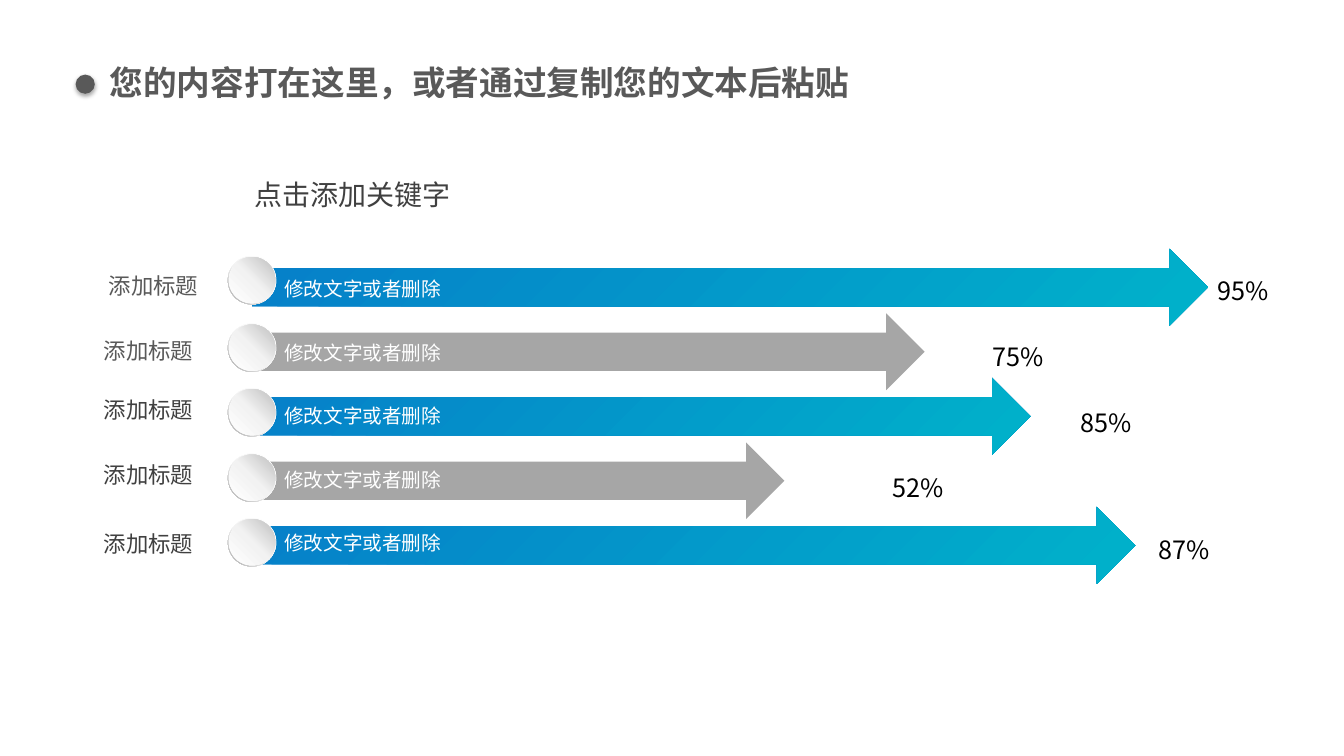
from dataclasses import dataclass

from lxml.etree import SubElement
from pptx import Presentation
from pptx.dml.color import RGBColor
from pptx.enum.shapes import MSO_SHAPE
from pptx.enum.text import MSO_AUTO_SIZE
from pptx.oxml import parse_xml
from pptx.oxml.ns import nsdecls, qn
from pptx.util import Inches, Pt


@dataclass(frozen=True)
class Theme:
    """Colours, gradients and type sizes of the slide."""
    font: str = "Noto Sans CJK SC"
    dark: str = "404040"
    mid: str = "595959"
    grey: str = "A6A6A6"
    white: str = "FFFFFF"
    black: str = "000000"
    blue: tuple = (45, (0, "067FC9"), (100, "00B2CA"))
    rim: tuple = (135, (0, "FFFFFF"), (55, "F2F2F2"), (100, "A6A6A6"))
    face: tuple = (315, (0, "FFFFFF"), (51, "F2F2F2"), (100, "BFBFBF"))
    title: int = 24
    keyword: int = 20
    value: int = 18
    label: int = 16
    caption: int = 14


def write(tf, text, *, font, size, color, bold=False):
    """Write one formatted run into a text frame."""
    r = tf.paragraphs[0].add_run()
    r.text = text
    r.font.name = font
    r.font.size = Pt(size)
    r.font.bold = bold
    r.font.color.rgb = RGBColor.from_string(color)
    SubElement(r.font._element, qn("a:ea"), typeface=font)


class Builder:
    """Draw elements on the current slide in one style."""

    def __init__(self, s, theme):
        self.s = s
        self.theme = theme

    def text(self, text, x, y, w, h, size, color, bold=False, wrap=True, inset=(0.1, 0.05)):
        """Add a text box."""
        tf = self.s.shapes.add_textbox(*map(Inches, (x, y, w, h))).text_frame
        tf.word_wrap = wrap
        tf.auto_size = MSO_AUTO_SIZE.SHAPE_TO_FIT_TEXT
        tf.margin_left = tf.margin_right = Inches(inset[0])
        tf.margin_top = tf.margin_bottom = Inches(inset[1])
        write(tf, text, font=self.theme.font, size=size, color=color, bold=bold)

    def shape(self, kind, x, y, w, h, fill):
        """Add an unlined shape with a solid colour or a gradient."""
        sp = self.s.shapes.add_shape(kind, *map(Inches, (x, y, w, h)))
        sp.shadow.inherit = False
        sp.line.fill.background()
        sp.fill.solid()
        if isinstance(fill, str):
            sp.fill.fore_color.rgb = RGBColor.from_string(fill)
        else:
            self.gradient(sp, *fill)
        return sp

    def gradient(self, sp, angle, *stops):
        """Replace the solid fill by a linear gradient."""
        gs = "".join(f'<a:gs pos="{pos * 1000}"><a:srgbClr val="{c}"/></a:gs>' for pos, c in stops)
        spPr = sp._element.spPr
        spPr.replace(spPr.find(qn("a:solidFill")), parse_xml(
            f'<a:gradFill {nsdecls("a")} rotWithShape="1"><a:gsLst>{gs}</a:gsLst>'
            f'<a:lin ang="{angle * 60000}" scaled="0"/></a:gradFill>'))

    def bullet(self, x, y, d):
        """Add the title dot with its soft shadow."""
        sp = self.shape(MSO_SHAPE.OVAL, x, y, d, d, self.theme.mid)
        sp._element.spPr.find(qn("a:effectLst")).append(parse_xml(
            f'<a:outerShdw {nsdecls("a")} blurRad="{Pt(3.1)}" dist="{Pt(1.8)}" dir="5400000" '
            f'algn="t" rotWithShape="0"><a:srgbClr val="{self.theme.black}">'
            '<a:alpha val="35000"/></a:srgbClr></a:outerShdw>'))

    def arrow(self, y, w, fill, caption_y):
        """Add a bar arrow with its caption."""
        self.shape(MSO_SHAPE.RIGHT_ARROW, 2.5, y, w, 0.76, fill)
        self.text("修改文字或者删除", 2.72, caption_y, 1.77, 0.34,
                  self.theme.caption, self.theme.white, wrap=False)

    def knob(self, y):
        """Add the round button at the start of an arrow."""
        rim = self.shape(MSO_SHAPE.DONUT, 2.26, y, 0.48, 0.48, self.theme.rim)
        rim.adjustments[0] = 0.049
        self.shape(MSO_SHAPE.OVAL, 2.27, y + 0.01, 0.46, 0.46, self.theme.face)


def main():
    """Build and save the slide."""
    prs = Presentation()
    prs.slide_width, prs.slide_height = Inches(13.33), Inches(7.5)
    t = Theme()
    b = Builder(prs.slides.add_slide(prs.slide_layouts[6]), t)

    b.text("您的内容打在这里，或者通过复制您的文本后粘贴", 0.99, 0.57, 8.91, 0.5,
           t.title, t.mid, bold=True)
    b.bullet(0.75, 0.74, 0.19)
    b.text("点击添加关键字", 2.41, 1.7, 3.26, 0.45, t.keyword, t.dark, inset=(0.11, 0.06))

    rows = [
        ("95%", 9.48, 2.7, (0.98, 2.65), t.mid, (11.98, 2.68), 2.54),
        ("75%", 6.67, 3.33, (0.93, 3.3), t.mid, (9.75, 3.34), 3.21),
        ("85%", 7.72, 3.96, (0.93, 3.88), t.dark, (10.62, 3.99), 3.85),
        ("52%", 5.28, 4.59, (0.93, 4.53), t.dark, (8.75, 4.64), 4.5),
        ("87%", 8.76, 5.22, (0.93, 5.21), t.dark, (11.39, 5.25), 5.14),
    ]
    for i, (value, length, caption_y, label_at, color, value_at, knob_y) in enumerate(rows):
        b.text("添加标题", *label_at, 1.29, 0.37, t.label, color)
        b.arrow(2.47 + 0.64 * i, length, t.grey if i % 2 else t.blue, caption_y)
        b.text(value, *value_at, 0.98, 0.4, t.value, t.black)
        b.knob(knob_y)

    prs.save("out.pptx")


if __name__ == "__main__":
    main()
